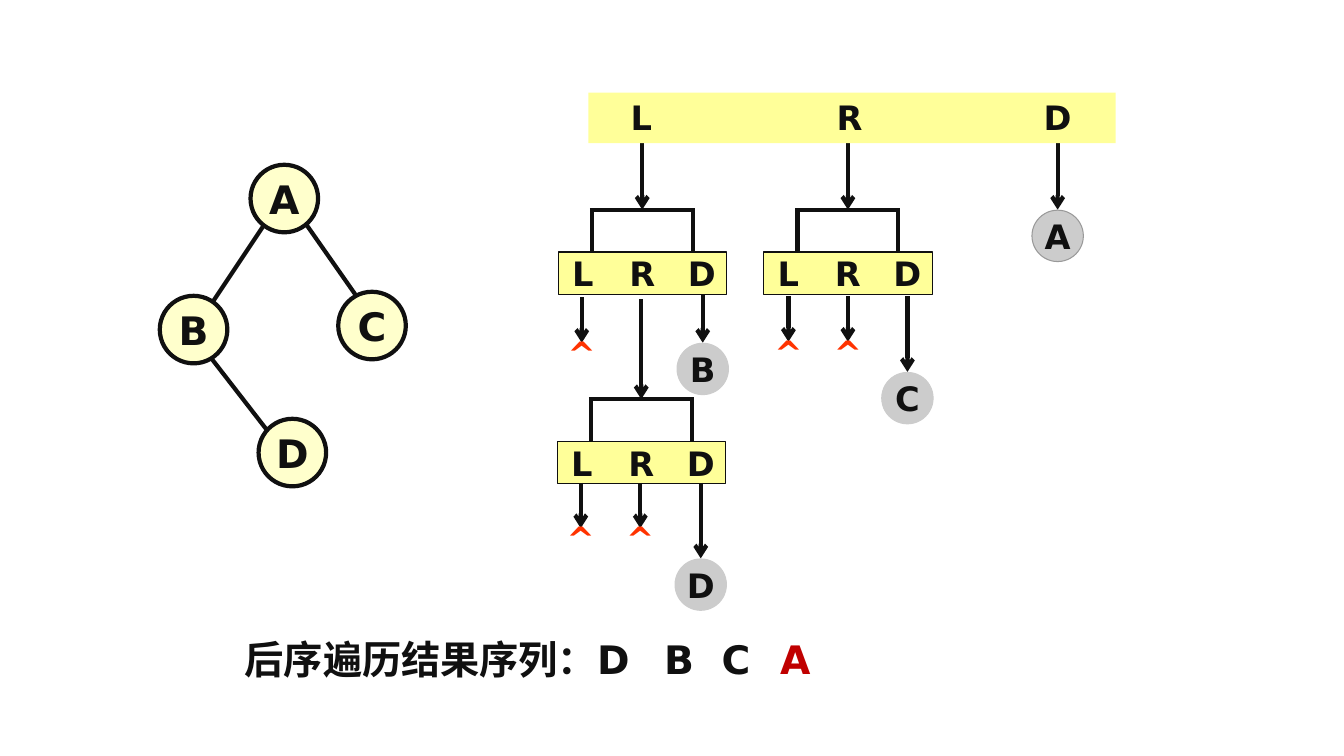
"""Slide showing the post-order traversal of a four-node binary tree."""
import pptx
import pptx.util
import pptx.dml.color
import pptx.enum.shapes
import pptx.enum.text
import pptx.oxml
import pptx.oxml.ns
import lxml.etree

Inches, Pt = pptx.util.Inches, pptx.util.Pt
RGBColor = pptx.dml.color.RGBColor
Shape = pptx.enum.shapes.MSO_SHAPE
Anchor = pptx.enum.text.MSO_ANCHOR
Align = pptx.enum.text.PP_ALIGN
qn = pptx.oxml.ns.qn

INK = RGBColor(0x10, 0x10, 0x10)
CREAM = RGBColor(0xFF, 0xFF, 0xCC)
YELLOW = RGBColor(0xFF, 0xFF, 0x99)
GRAY = RGBColor(0xCC, 0xCC, 0xCC)
RIM = RGBColor(0x99, 0x99, 0x99)
RED = RGBColor(0xFF, 0x33, 0x00)
CRIMSON = RGBColor(0xC0, 0x00, 0x00)
FONT = "DejaVu Sans"

deck = pptx.Presentation()
deck.slide_width, deck.slide_height = Inches(13.33), Inches(7.5)
slide = deck.slides.add_slide(deck.slide_layouts[6])
shapes = slide.shapes


def add_line(x1, y1, x2, y2, arrow=False):
    """Draw a thick line, with an arrowhead at its end if asked."""
    line = shapes.add_connector(
        pptx.enum.shapes.MSO_CONNECTOR.STRAIGHT,
        Inches(x1), Inches(y1), Inches(x2), Inches(y2))
    line.line.color.rgb = INK
    line.line.width = Pt(3)
    if arrow:
        lxml.etree.SubElement(line.line._get_or_add_ln(), qn("a:tailEnd"), type="arrow")
    lxml.etree.SubElement(line._element.spPr, qn("a:effectLst"))


def add_box(kind, x, y, w, h, text="", fill=None, edge=None, width=0.75, size=24, color=INK):
    """Draw a shape, or a plain text box if kind is None, around a centre point."""
    place = Inches(x - w / 2), Inches(y - h / 2), Inches(w), Inches(h)
    if kind is None:
        box = shapes.add_textbox(*place)
    else:
        box = shapes.add_shape(kind, *place)
        box.shadow.inherit = False
        box.fill.solid()
        box.fill.fore_color.rgb = fill
        if edge is None:
            box.line.fill.background()
        else:
            box.line.color.rgb = edge
            box.line.width = Pt(width)
    if text:
        frame = box.text_frame
        frame.word_wrap = False
        frame.vertical_anchor = Anchor.MIDDLE
        frame.margin_left = frame.margin_right = 0
        frame.margin_top = frame.margin_bottom = 0
        para = frame.paragraphs[0]
        para.text = text
        para.alignment = Align.CENTER
        para.font.name, para.font.size, para.font.bold = FONT, Pt(size), True
        para.font.color.rgb = color
    return box


for branch in [(2.62, 2.23, 2.1, 3.01), (3.04, 2.23, 3.53, 2.93), (2.1, 3.56, 2.65, 4.27)]:
    add_line(*branch)
for name, x, y in [("A", 2.82, 1.97), ("B", 1.92, 3.27), ("C", 3.69, 3.23), ("D", 2.9, 4.49)]:
    add_box(Shape.OVAL, x, y, 0.67, 0.67, name, CREAM, INK, 3, 28)

for x, start, top in [(6.37, 1.33, 2.08), (8.41, 1.33, 2.08), (6.36, 2.97, 3.96)]:
    add_line(x, start, x, top, True)
    add_line(x - 0.52, top, x + 0.52, top)
    for side in (-0.5, 0.5):
        add_line(x + side, top, x + side, top + 0.42)
    add_box(Shape.RECTANGLE, x, top + 0.63, 1.67, 0.42, fill=YELLOW, edge=INK)
    for step, name in enumerate("LRD"):
        add_box(None, x + (step - 1) * 0.59, top + 0.63, 0.47, 0.39, name)

for x, y in [(5.77, 2.95), (7.82, 2.94), (8.41, 2.94), (5.76, 4.79), (6.35, 4.79)]:
    add_line(x, y, x, y + 0.45, True)
    mark = add_box(None, x, y + 0.565, 0.51, 0.51, "^", color=RED)
    mark.text_frame.word_wrap = True
    mark.text_frame.vertical_anchor = Anchor.TOP
    mark.text_frame.margin_top = Inches(0.04)

for name, x, start, end, edge in [
        ("A", 10.49, 1.33, 2.08, RIM), ("B", 6.97, 2.92, 3.4, GRAY),
        ("C", 9, 2.94, 3.69, GRAY), ("D", 6.95, 4.79, 5.54, GRAY)]:
    add_line(x, start, x, end, True)
    add_box(Shape.OVAL, x, end + 0.26, 0.51, 0.51, name, GRAY, edge)

add_box(Shape.RECTANGLE, 8.45, 1.17, 5.23, 0.5, fill=YELLOW)
for step, name in enumerate("LRD"):
    add_box(None, 6.36 + step * 2.065, 1.16, 0.85, 0.39, name)

result = shapes.add_textbox(Inches(2.33), Inches(6.25), Inches(7.17), Inches(0.57))
result.text_frame.word_wrap = True
para = result.text_frame.paragraphs[0]
tabs = lxml.etree.SubElement(para._p.get_or_add_pPr(), qn("a:tabLst"))
for stop in (4.16, 4.73, 5.31):
    lxml.etree.SubElement(tabs, qn("a:tab"), pos=str(Inches(stop)), algn="l")
para.font.name, para.font.size, para.font.bold = FONT, Pt(28), True
for text, color in [("后序遍历结果序列：D\tB\tC\t", INK), ("A", CRIMSON)]:
    run = para.add_run()
    run.text = text
    run.font.color.rgb = color

deck.save("out.pptx")
